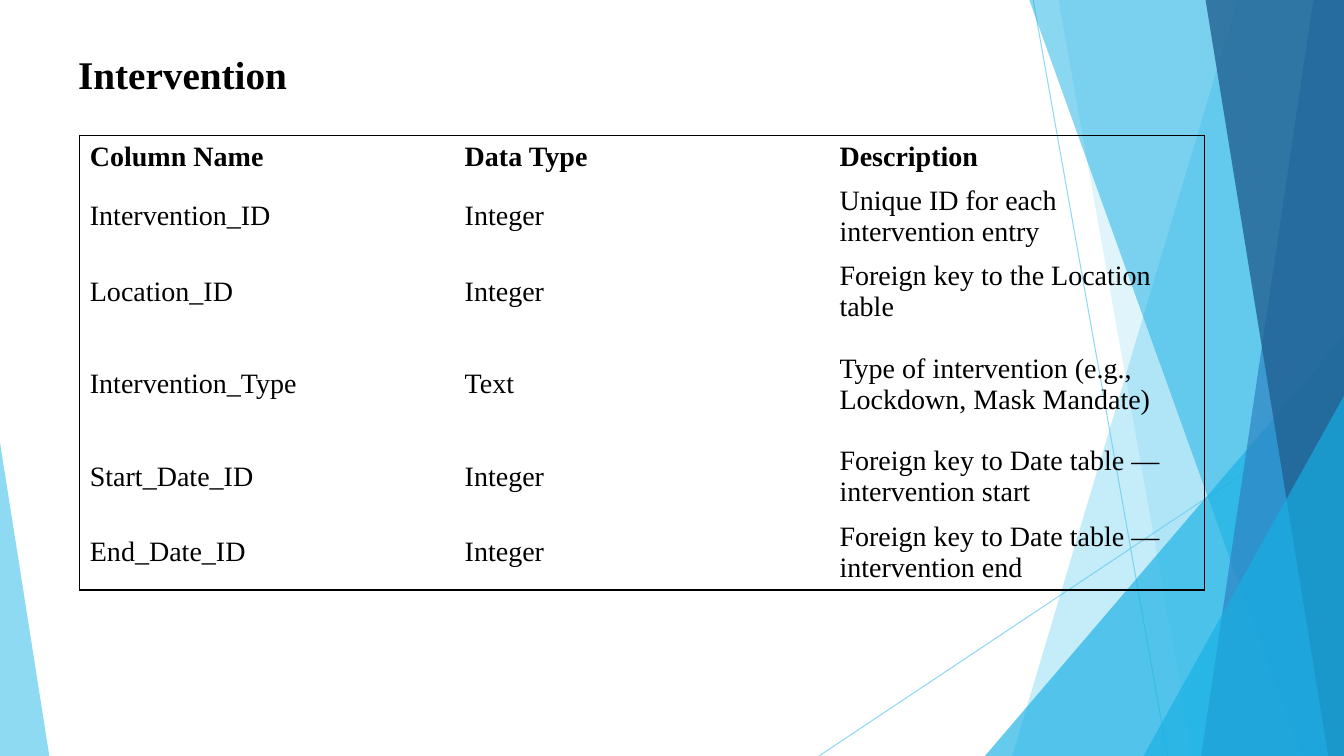
from lxml.etree import SubElement
from pptx import Presentation
from pptx.dml.color import RGBColor
from pptx.enum.shapes import MSO_CONNECTOR, MSO_SHAPE
from pptx.enum.text import MSO_ANCHOR
from pptx.oxml import parse_xml
from pptx.oxml.ns import nsdecls, qn
from pptx.util import Pt

PX = 9525
WIDTH, HEIGHT = 1280, 720
COLORS = {
    "black": "000000",
    "sky": "5FCBEF",
    "cyan": "17B0E4",
    "blue": "2E83C3",
    "navy": "226292",
}
TITLE = {"size": Pt(28), "bold": True}
HEADER = {"size": Pt(20), "bold": True}
BODY = {"size": Pt(20), "bold": False}

ROWS = [
    ("Column Name", "Data Type", "Description"),
    ("Intervention_ID", "Integer", "Unique ID for each intervention entry"),
    ("Location_ID", "Integer", "Foreign key to the Location table"),
    ("Intervention_Type", "Text", "Type of intervention (e.g., Lockdown, Mask Mandate)"),
    ("Start_Date_ID", "Integer", "Foreign key to Date table — intervention start"),
    ("End_Date_ID", "Integer", "Foreign key to Date table — intervention end"),
]
ROW_HEIGHTS = [41, 72, 72, 104, 72, 72]
COLUMN_WIDTH = 357


class SlideBuilder:
    font_name = "Times New Roman"

    def __init__(self, slide):
        self.slide = slide
        self.shapes = slide.shapes

    def paint(self, color_format, color, opacity):
        color_format.rgb = RGBColor.from_string(COLORS[color])
        for element in color_format._xFill.iter(qn("a:srgbClr")):
            SubElement(element, qn("a:alpha"), val=str(opacity * 1000))

    def fill(self, shape, color, opacity):
        shape.shadow.inherit = False
        shape.line.fill.background()
        shape.fill.solid()
        self.paint(shape.fill.fore_color, color, opacity)

    def line(self, start, end, color, opacity):
        ends = [value * PX for value in (*start, *end)]
        connector = self.shapes.add_connector(MSO_CONNECTOR.STRAIGHT, *ends)
        connector.line.width = Pt(0.75)
        connector.line.fill.solid()
        self.paint(connector.line.fill.fore_color, color, opacity)
        SubElement(connector._element.spPr, qn("a:effectLst"))

    def band(self, top_left, bottom_left, color, opacity):
        """Fill the slide from a slanted left edge to its right side."""
        builder = self.shapes.build_freeform(top_left, -1, scale=PX)
        builder.add_line_segments([(WIDTH, -1), (WIDTH, HEIGHT), (bottom_left, HEIGHT)])
        self.fill(builder.convert_to_shape(), color, opacity)

    def triangle(self, left, top, width, apex, color, opacity):
        """Stand a triangle on the slide's bottom edge."""
        box = [value * PX for value in (left, top, width, HEIGHT - top)]
        shape = self.shapes.add_shape(MSO_SHAPE.ISOSCELES_TRIANGLE, *box)
        shape.adjustments[0] = apex
        self.fill(shape, color, opacity)

    def add_text(self, text_frame, text, style):
        run = text_frame.paragraphs[0].add_run()
        run.text = text
        run.font.name = self.font_name
        run.font.color.rgb = RGBColor.from_string(COLORS["black"])
        for name, value in style.items():
            setattr(run.font, name, value)

    def text_box(self, left, top, width, height, text, style):
        box = [value * PX for value in (left, top, width, height)]
        text_frame = self.shapes.add_textbox(*box).text_frame
        text_frame.word_wrap = True
        self.add_text(text_frame, text, style)

    def borders(self, cell, sides):
        """Draw the sides marked true and hide the others."""
        properties = cell._tc.get_or_add_tcPr()
        for index, (side, visible) in enumerate(sides.items()):
            paint = "<a:noFill/>"
            if visible:
                paint = f'<a:solidFill><a:srgbClr val="{COLORS["black"]}"/></a:solidFill>'
            border = f'<a:ln{side} {nsdecls("a")} w="{Pt(1)}">{paint}</a:ln{side}>'
            properties.insert(index, parse_xml(border))

    def table(self, left, top, rows, row_heights, column_width):
        columns = len(rows[0])
        size = (columns * column_width, sum(row_heights))
        box = [value * PX for value in (left, top, *size)]
        table = self.shapes.add_table(len(rows), columns, *box).table
        table.first_row = table.horz_banding = False
        for column in table.columns:
            column.width = column_width * PX
        for r, (texts, height) in enumerate(zip(rows, row_heights)):
            table.rows[r].height = height * PX
            for c, text in enumerate(texts):
                cell = table.cell(r, c)
                cell.vertical_anchor = MSO_ANCHOR.MIDDLE
                cell.fill.background()
                self.add_text(cell.text_frame, text, BODY if r else HEADER)
                self.borders(cell, {
                    "L": c == 0,
                    "R": c == columns - 1,
                    "T": r == 0,
                    "B": r == len(rows) - 1,
                })


def main():
    presentation = Presentation()
    presentation.slide_width = WIDTH * PX
    presentation.slide_height = HEIGHT * PX
    builder = SlideBuilder(presentation.slides.add_slide(presentation.slide_layouts[6]))

    builder.line((984, 0), (1112, HEIGHT), "sky", 70)
    builder.line((WIDTH, 387), (780, HEIGHT), "sky", 70)
    builder.band(1179, 964, "sky", 36)
    builder.band(1008, 1136, "sky", 20)
    builder.triangle(938, 320, 342, 1, "cyan", 66)
    builder.band(980, 1239, "cyan", 50)
    builder.band(1251, 1144, "blue", 70)
    builder.band(1148, 1265, "navy", 80)
    builder.triangle(1089, 377, 191, 1, "cyan", 66)
    builder.triangle(0, 421, 47, 0, "sky", 70)

    builder.table(76, 129, ROWS, ROW_HEIGHTS, COLUMN_WIDTH)
    builder.text_box(65, 43, 640, 55, "Intervention", TITLE)
    presentation.save("out.pptx")


if __name__ == "__main__":
    main()
